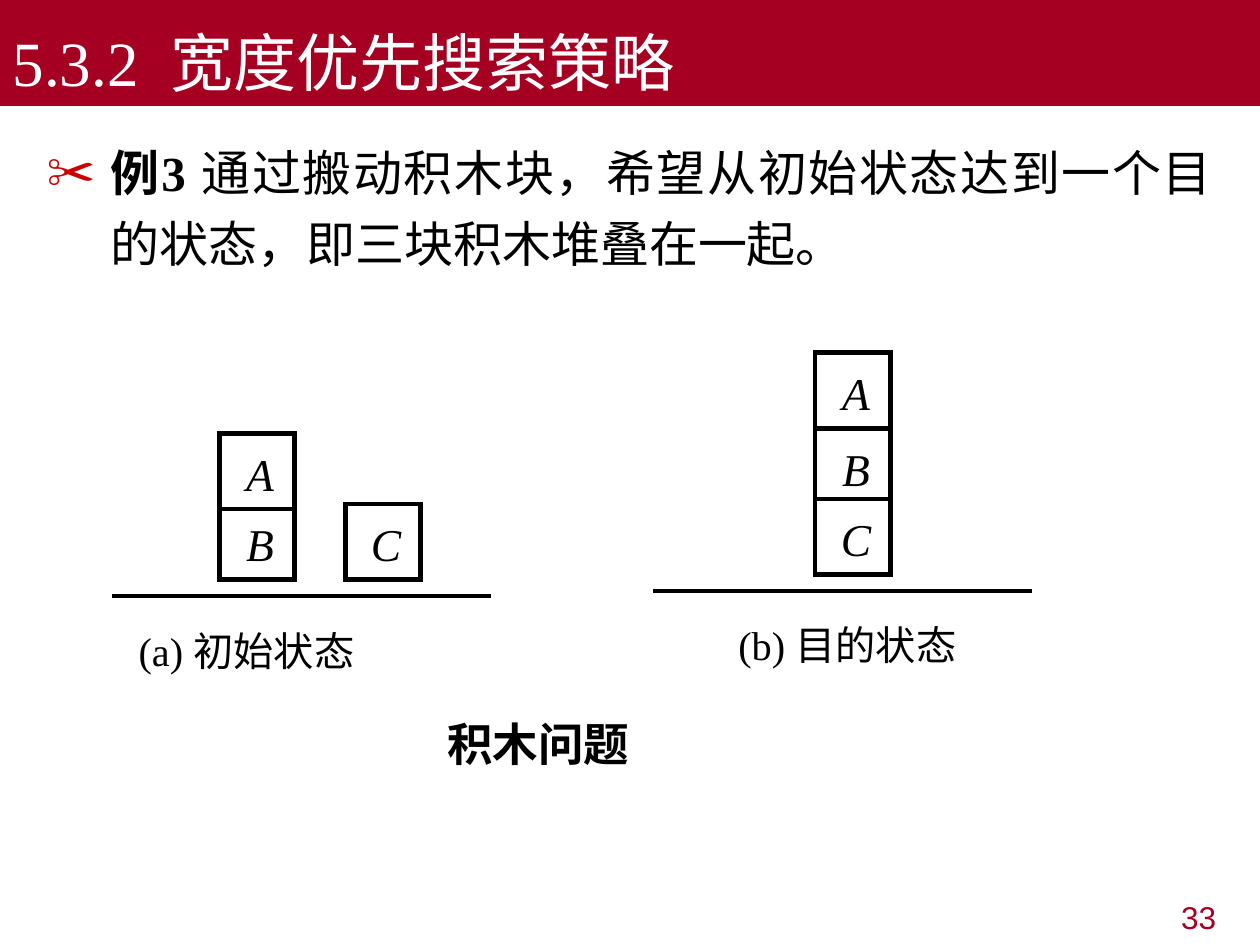
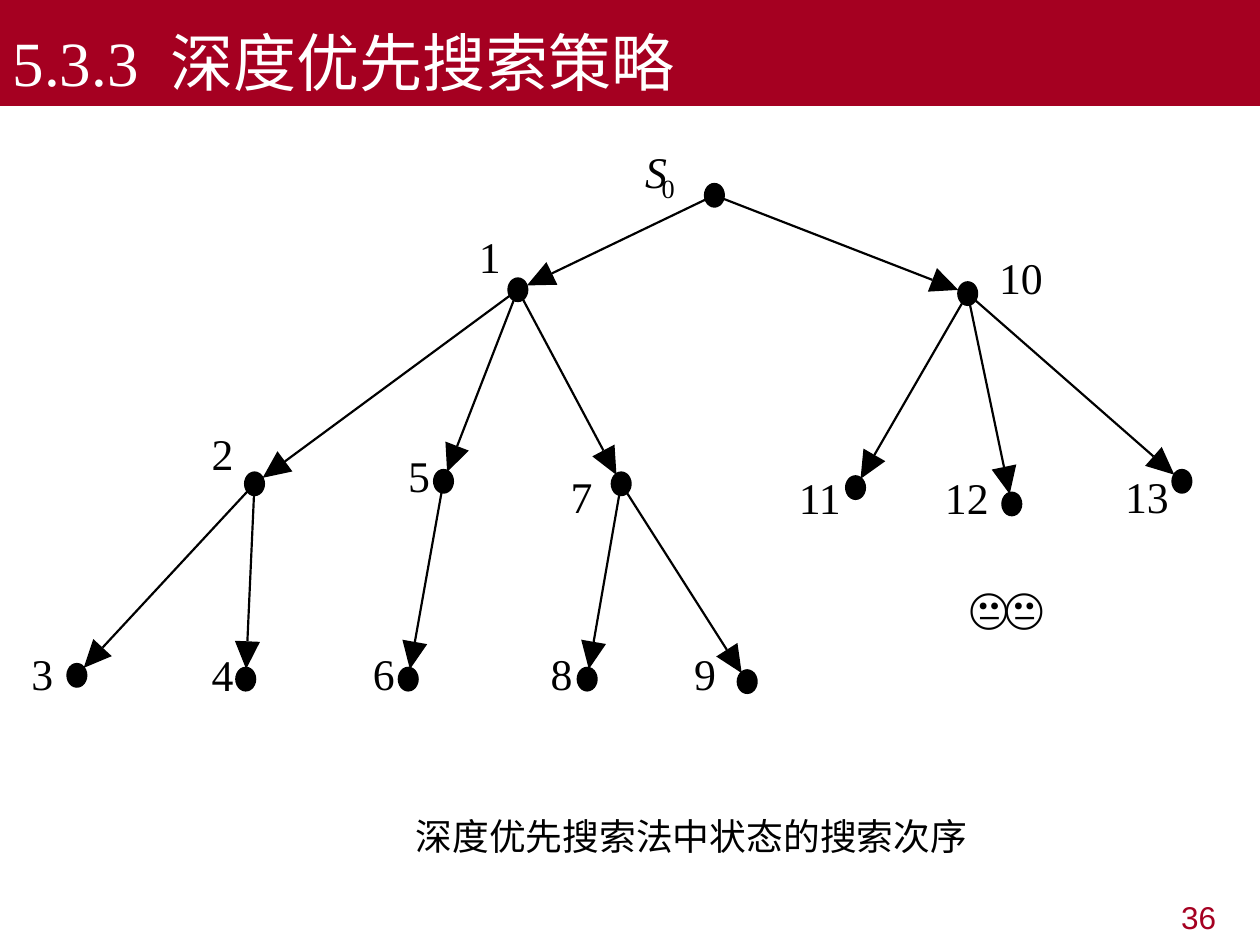
from dataclasses import dataclass
from math import hypot

from lxml import etree
from pptx import Presentation
from pptx.dml.color import RGBColor
from pptx.enum.shapes import MSO_CONNECTOR, MSO_SHAPE
from pptx.enum.text import MSO_ANCHOR, MSO_AUTO_SIZE, PP_ALIGN
from pptx.oxml.ns import qn
from pptx.util import Inches, Pt

LINE = MSO_CONNECTOR.STRAIGHT
RECT, OVAL = MSO_SHAPE.RECTANGLE, MSO_SHAPE.OVAL
TOP, MIDDLE, BOTTOM = MSO_ANCHOR.TOP, MSO_ANCHOR.MIDDLE, MSO_ANCHOR.BOTTOM
LEFT, RIGHT = PP_ALIGN.LEFT, PP_ALIGN.RIGHT
CENTER, JUSTIFY = PP_ALIGN.CENTER, PP_ALIGN.JUSTIFY
FIXED = MSO_AUTO_SIZE.NONE
BODY, TITLE = 1, 5

RED, BLACK, WHITE = "A50021", "000000", "FFFFFF"
BULLET = "CC0000"
SERIF, SANS, HAN = "Times New Roman", "Arial", "Noto Sans CJK SC"
EMOJI = "Lato"

SIDE = 0.6
THICK, THIN = 2.64, 1.25
DOT_W, DOT_H = 0.15, 0.18
GAP = 0.08
HEAD, HALF = 0.22, 0.1


@dataclass
class Block:
    name: str
    x: float
    y: float


@dataclass
class Label:
    text: str
    x: float
    y: float
    w: float
    size: float
    face: str = SERIF
    bold: bool = False
    slant: bool = False


@dataclass
class Node:
    x: float
    y: float
    kids: tuple = ()


BLOCKS = [
    Block("B", 1.74, 4), Block("C", 2.74, 4), Block("A", 1.74, 3.44),
    Block("A", 6.47, 2.8), Block("B", 6.47, 3.4), Block("C", 6.47, 3.96),
]
GROUNDS = [(0.89, 4.73), (5.18, 4.69)]
NOTES = [
    Label("(a) 初始状态", 1.1, 4.97, 2, 23),
    Label("(b) 目的状态", 5.86, 4.92, 2, 23),
    Label("积木问题", 3.55, 5.68, 1.6, 26, HAN, bold=True),
]

NODES = [
    Node(5.67, 1.55, (1, 10)),
    Node(4.11, 2.3, (2, 5, 7)),
    Node(2.02, 3.84, (3, 4)),
    Node(0.61, 5.36),
    Node(1.95, 5.39),
    Node(3.52, 3.82, (6,)),
    Node(3.24, 5.39),
    Node(4.93, 3.84, (8, 9)),
    Node(4.66, 5.39),
    Node(5.93, 5.41),
    Node(7.68, 2.33, (11, 12, 13)),
    Node(6.79, 3.87),
    Node(8.03, 4),
    Node(9.38, 3.82),
]
SPOTS = [
    (3.8, 1.82), (1.68, 3.39), (0.25, 5.13), (1.68, 5.14), (3.24, 3.56),
    (2.96, 5.13), (4.53, 3.73), (4.37, 5.13), (5.51, 5.13), (7.93, 1.99),
    (6.34, 3.74), (7.5, 3.74), (8.93, 3.73),
]
SIGNS = [
    Label("0", 5.25, 1.37, 0.15, 15),
    Label("S", 5.12, 1.15, 0.2, 25, slant=True),
    Label("😐", 7.97, 4.61, 0.4, 25, EMOJI),
    Label("😐", 7.69, 4.61, 0.4, 25, EMOJI),
    Label("深度优先搜索法中状态的搜索次序", 3.3, 6.46, 4.6, 21, HAN),
]


def tint(code: str) -> RGBColor:
    return RGBColor.from_string(code)


def place(shape, x: float, y: float, w: float, h: float) -> None:
    shape.left, shape.top = Inches(x), Inches(y)
    shape.width, shape.height = Inches(w), Inches(h)


def style(para, size: float, face: str, ink: str = BLACK) -> None:
    font = para.font
    font.size, font.name = Pt(size), face
    font.color.rgb = tint(ink)
    props = para._p.pPr.find(qn("a:defRPr"))
    etree.SubElement(props, qn("a:ea")).set("typeface", HAN)


def inset(frame, left: float, top: float) -> None:
    frame.margin_left, frame.margin_top = Inches(left), Inches(top)
    frame.margin_right = frame.margin_bottom = 0


def write(slide, label: Label) -> None:
    height = label.size * 0.0167
    box = slide.shapes.add_textbox(
        Inches(label.x), Inches(label.y), Inches(label.w), Inches(height))
    frame = box.text_frame
    inset(frame, 0, 0)
    frame.word_wrap, frame.auto_size = True, FIXED
    para = frame.paragraphs[0]
    para.text = label.text
    style(para, label.size, label.face)
    para.font.bold, para.font.italic = label.bold, label.slant


def shape(slide, kind, x: float, y: float, w: float, h: float,
          fill: str, width: float):
    item = slide.shapes.add_shape(
        kind, Inches(x), Inches(y), Inches(w), Inches(h))
    item.shadow.inherit = False
    item.fill.solid()
    item.fill.fore_color.rgb = tint(fill)
    item.line.color.rgb = tint(BLACK)
    item.line.width = Pt(width)
    edge = item._element.spPr.find(qn("a:ln"))
    etree.SubElement(edge, qn("a:miter")).set("lim", "800000")
    return item


def stroke(slide, x1: float, y1: float, x2: float, y2: float,
           width: float) -> None:
    item = slide.shapes.add_connector(
        LINE, Inches(x1), Inches(y1), Inches(x2), Inches(y2))
    item.line.color.rgb = tint(BLACK)
    item.line.width = Pt(width)
    etree.SubElement(item._element.spPr, qn("a:effectLst"))


def arrow(slide, start: Node, end: Node) -> None:
    dx, dy = end.x - start.x, end.y - start.y
    span = hypot(dx, dy)
    dx, dy = dx / span, dy / span
    tip_x, tip_y = end.x - GAP * dx, end.y - GAP * dy
    base_x, base_y = tip_x - HEAD * dx, tip_y - HEAD * dy
    stroke(slide, start.x + GAP * dx, start.y + GAP * dy,
           base_x, base_y, THIN)
    path = slide.shapes.build_freeform(Inches(tip_x), Inches(tip_y))
    path.add_line_segments([
        (Inches(base_x + side * dy), Inches(base_y - side * dx))
        for side in (HALF, -HALF)])
    head = path.convert_to_shape()
    head.shadow.inherit = False
    head.fill.solid()
    head.fill.fore_color.rgb = tint(BLACK)
    head.line.fill.background()


def page(deck, layout: int, title: str, number: str):
    slide = deck.slides.add_slide(deck.slide_layouts[layout])
    band = slide.shapes.title
    place(band, 0, 0, 10, 0.84)
    band.fill.solid()
    band.fill.fore_color.rgb = tint(RED)
    frame = band.text_frame
    frame.auto_size, frame.vertical_anchor = FIXED, BOTTOM
    para = frame.paragraphs[0]
    para.text, para.alignment = title, LEFT
    style(para, 36, SERIF, WHITE)

    foot = slide.shapes.add_textbox(
        Inches(7.58), Inches(7.08), Inches(2.17), Inches(0.39))
    foot.text_frame.word_wrap = True
    para = foot.text_frame.paragraphs[0]
    para.text, para.alignment = number, RIGHT
    style(para, 18, SANS, RED)
    return slide


def lead(slide, head: str, rest: str) -> None:
    body = slide.placeholders[1]
    place(body, 0.27, 0.99, 9.45, 5.91)
    frame = body.text_frame
    frame.auto_size, frame.vertical_anchor = FIXED, TOP
    para = frame.paragraphs[0]
    para.alignment, para.line_spacing = JUSTIFY, 1.2
    para.space_before = Pt(0)
    props = para._p.get_or_add_pPr()
    props.set("marL", str(Inches(0.51)))
    props.set("indent", str(Inches(-0.51)))
    color = etree.SubElement(props, qn("a:buClr"))
    etree.SubElement(color, qn("a:srgbClr")).set("val", BULLET)
    etree.SubElement(props, qn("a:buChar")).set("char", "✂")
    style(para, 28, SERIF)
    for text, face, bold in ((head, SERIF, True), (rest, HAN, False)):
        run = para.add_run()
        run.text = text
        run.font.name, run.font.bold = face, bold


def draw(slide, block: Block) -> None:
    item = shape(slide, RECT, block.x, block.y, SIDE, SIDE, WHITE, THICK)
    frame = item.text_frame
    inset(frame, 0.05, 0.03)
    frame.vertical_anchor = MIDDLE
    para = frame.paragraphs[0]
    para.text, para.alignment = block.name, CENTER
    style(para, 26, SERIF)
    para.font.italic = True


def bricks(deck) -> None:
    slide = page(deck, BODY, "5.3.2  宽度优先搜索策略", "33")
    lead(slide, "例3 ",
         "通过搬动积木块，希望从初始状态达到一个目的状态，即三块积木堆叠在一起。")
    for x, y in GROUNDS:
        stroke(slide, x, y, x + 3.01, y, THICK)
    for block in BLOCKS:
        draw(slide, block)
    for note in NOTES:
        write(slide, note)


def tree(deck) -> None:
    slide = page(deck, TITLE, "5.3.3  深度优先搜索策略", "36")
    for node in NODES:
        shape(slide, OVAL, node.x - DOT_W / 2, node.y - DOT_H / 2,
              DOT_W, DOT_H, BLACK, THIN)
        for kid in node.kids:
            arrow(slide, node, NODES[kid])
    for order, (x, y) in enumerate(SPOTS, 1):
        text = str(order)
        write(slide, Label(text, x, y, 0.2 * len(text), 25))
    for sign in SIGNS:
        write(slide, sign)


def main() -> None:
    deck = Presentation()
    deck.slide_width, deck.slide_height = Inches(10), Inches(7.5)
    bricks(deck)
    tree(deck)
    deck.save("out.pptx")


if __name__ == "__main__":
    main()
